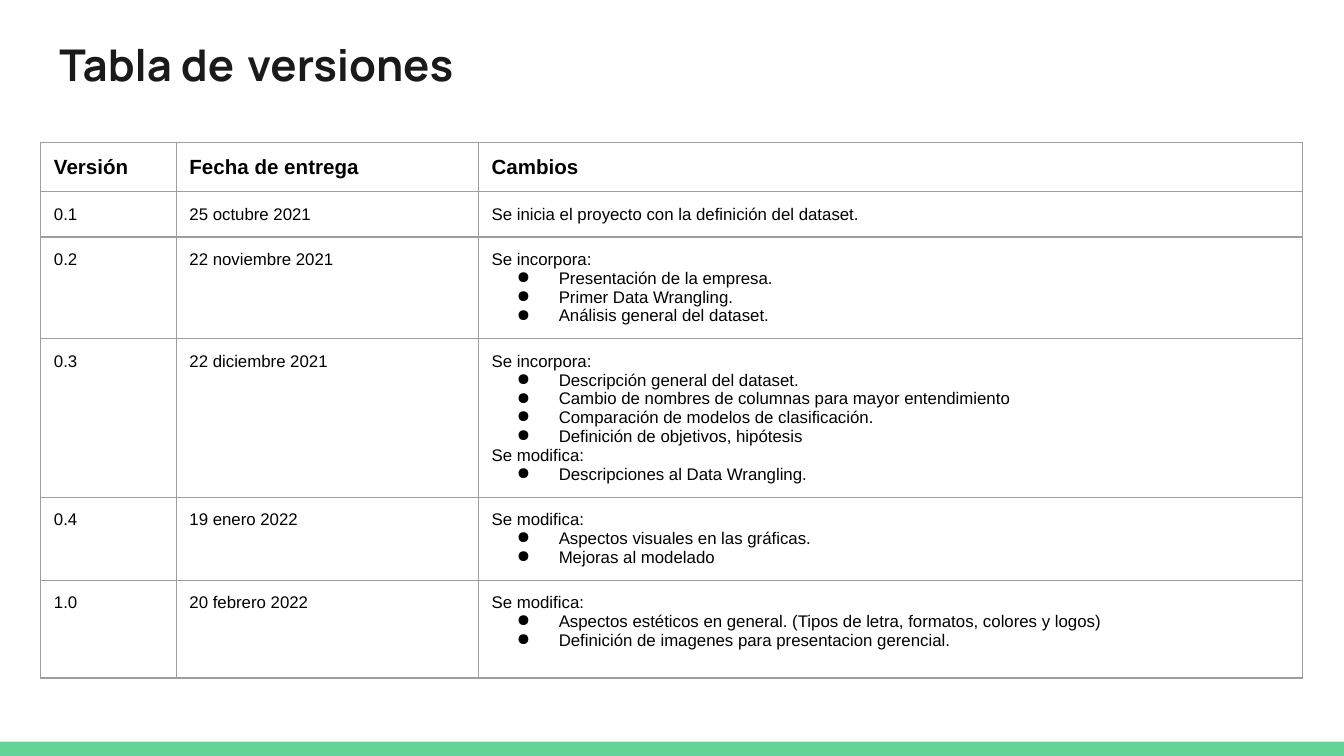
"""Build the version history slide."""
from dataclasses import dataclass

import lxml.etree
import pptx
import pptx.dml.color
import pptx.enum.shapes
import pptx.enum.text
import pptx.oxml.ns
import pptx.slide
import pptx.table
import pptx.text.text
import pptx.util
from pptx.util import Cm

BLACK = pptx.dml.color.RGBColor(0x00, 0x00, 0x00)
TITLE_INK = pptx.dml.color.RGBColor(0x1A, 0x1A, 0x1A)
SPACE_INK = pptx.dml.color.RGBColor(0x20, 0x27, 0x29)
GREEN = pptx.dml.color.RGBColor(0x63, 0xD2, 0x97)
BORDER_GREY = pptx.dml.color.RGBColor(0x9E, 0x9E, 0x9E)

INSET = Cm(0.25)
BORDER_WIDTH = pptx.util.Pt(0.75)
COLUMN_WIDTHS = (2.56, 5.71, 15.58)
HEADINGS = ("Versión", "Fecha de entrega", "Cambios")


@dataclass(frozen=True)
class Line:
    text: str
    bullet: bool = False


@dataclass(frozen=True)
class Change:
    heading: str
    items: tuple[str, ...] = ()

    def lines(self) -> list[Line]:
        return [Line(self.heading)] + [Line(item, True) for item in self.items]


@dataclass(frozen=True)
class Version:
    number: str
    date: str
    height: float
    changes: tuple[Change, ...]


VERSIONS = (
    Version("0.1", "25 octubre 2021", 0.76, (
        Change("Se inicia el proyecto con la definición del dataset."),
    )),
    Version("0.2", "22 noviembre 2021", 1.68, (
        Change("Se incorpora:", (
            "Presentación de la empresa.",
            "Primer Data Wrangling.",
            "Análisis general del dataset.",
        )),
    )),
    Version("0.3", "22 diciembre 2021", 2.57, (
        Change("Se incorpora:", (
            "Descripción general del dataset.",
            "Cambio de nombres de columnas para mayor entendimiento",
            "Comparación de modelos de clasificación.",
            "Definición de objetivos, hipótesis",
        )),
        Change("Se modifica:", ("Descripciones al Data Wrangling.",)),
    )),
    Version("0.4", "19 enero 2022", 1.37, (
        Change("Se modifica:", (
            "Aspectos visuales en las gráficas.",
            "Mejoras al modelado",
        )),
    )),
    Version("1.0", "20 febrero 2022", 1.85, (
        Change("Se modifica:", (
            "Aspectos estéticos en general. (Tipos de letra, formatos, colores y logos)",
            "Definición de imagenes para presentacion gerencial.",
        )),
    )),
)


def add_color(parent: lxml.etree._Element, color: pptx.dml.color.RGBColor) -> None:
    lxml.etree.SubElement(parent, pptx.oxml.ns.qn("a:srgbClr"), val=str(color))


def set_bullet(paragraph: pptx.text.text._Paragraph) -> None:
    properties = paragraph._p.get_or_add_pPr()
    properties.set("marL", str(Cm(1.27)))
    properties.set("indent", str(-Cm(0.79)))
    add_color(lxml.etree.SubElement(properties, pptx.oxml.ns.qn("a:buClr")), BLACK)
    lxml.etree.SubElement(properties, pptx.oxml.ns.qn("a:buChar"), char="●")


def set_borders(cell: pptx.table._Cell) -> None:
    properties = cell._tc.get_or_add_tcPr()
    for side in ("a:lnL", "a:lnR", "a:lnT", "a:lnB"):
        border = lxml.etree.SubElement(properties, pptx.oxml.ns.qn(side), w=str(BORDER_WIDTH))
        add_color(lxml.etree.SubElement(border, pptx.oxml.ns.qn("a:solidFill")), BORDER_GREY)


def set_font(font: pptx.text.text.Font, name: str, size: float, bold: bool,
             color: pptx.dml.color.RGBColor) -> None:
    font.name = name
    font.size = pptx.util.Pt(size)
    font.bold = bold
    font.color.rgb = color


def fill_cell(cell: pptx.table._Cell, lines: list[Line], size: float, bold: bool) -> None:
    set_borders(cell)
    cell.fill.background()
    cell.margin_left = cell.margin_right = INSET
    cell.margin_top = cell.margin_bottom = INSET
    cell.text_frame.text = "\n".join(line.text for line in lines)
    for paragraph, line in zip(cell.text_frame.paragraphs, lines):
        if line.bullet:
            set_bullet(paragraph)
        set_font(paragraph.font, "Arial", size, bold, BLACK)


def add_title(slide: pptx.slide.Slide) -> None:
    title = slide.shapes.title
    title.left, title.top, title.width, title.height = Cm(0.87), Cm(0.41), Cm(23.67), Cm(1.6)
    frame = title.text_frame
    frame.auto_size = pptx.enum.text.MSO_AUTO_SIZE.NONE
    frame.vertical_anchor = pptx.enum.text.MSO_ANCHOR.TOP
    frame.margin_left = frame.margin_right = INSET
    frame.margin_top = frame.margin_bottom = INSET
    paragraph = frame.paragraphs[0]
    paragraph.alignment = pptx.enum.text.PP_ALIGN.LEFT
    for text, name, size, bold, color in (
        ("Tabla de", "Manrope", 23.4, True, TITLE_INK),
        (" ", "Arial", 25.2, False, SPACE_INK),
        ("versiones", "Manrope", 23.4, True, TITLE_INK),
    ):
        run = paragraph.add_run()
        run.text = text
        set_font(run.font, name, size, bold, color)


def add_footer_bar(slide: pptx.slide.Slide) -> None:
    bar = slide.shapes.add_shape(
        pptx.enum.shapes.MSO_SHAPE.RECTANGLE, 0, Cm(14.02), Cm(25.4), Cm(0.27))
    bar.shadow.inherit = False
    bar.fill.solid()
    bar.fill.fore_color.rgb = GREEN
    bar.line.fill.background()


def add_version_table(slide: pptx.slide.Slide) -> None:
    heights = [0.86] + [version.height for version in VERSIONS]
    table = slide.shapes.add_table(
        len(heights), len(COLUMN_WIDTHS), Cm(0.77), Cm(2.69),
        Cm(sum(COLUMN_WIDTHS)), Cm(sum(heights))).table
    table.first_row = table.horz_banding = False
    for column, width in zip(table.columns, COLUMN_WIDTHS):
        column.width = Cm(width)
    for row, height in zip(table.rows, heights):
        row.height = Cm(height)
    for cell, heading in zip(table.rows[0].cells, HEADINGS):
        fill_cell(cell, [Line(heading)], 11, True)
    for index, version in enumerate(VERSIONS, start=1):
        changes = [line for change in version.changes for line in change.lines()]
        contents = ([Line(version.number)], [Line(version.date)], changes)
        for cell, lines in zip(table.rows[index].cells, contents):
            fill_cell(cell, lines, 9, False)


def main() -> None:
    presentation = pptx.Presentation()
    presentation.slide_width = Cm(25.4)
    presentation.slide_height = Cm(14.29)
    slide = presentation.slides.add_slide(presentation.slide_layouts[5])
    add_footer_bar(slide)
    add_title(slide)
    add_version_table(slide)
    presentation.save("out.pptx")


if __name__ == "__main__":
    main()
